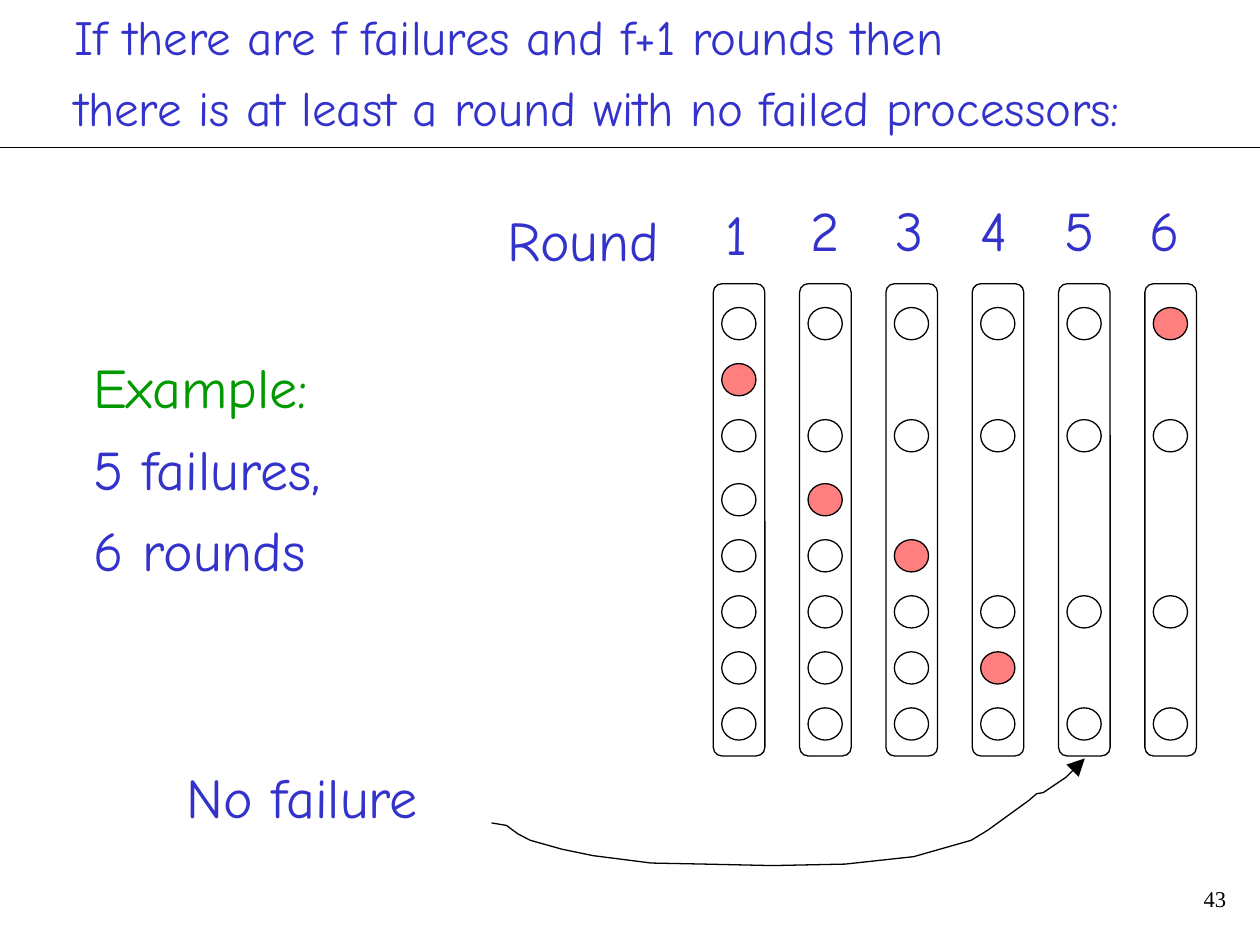
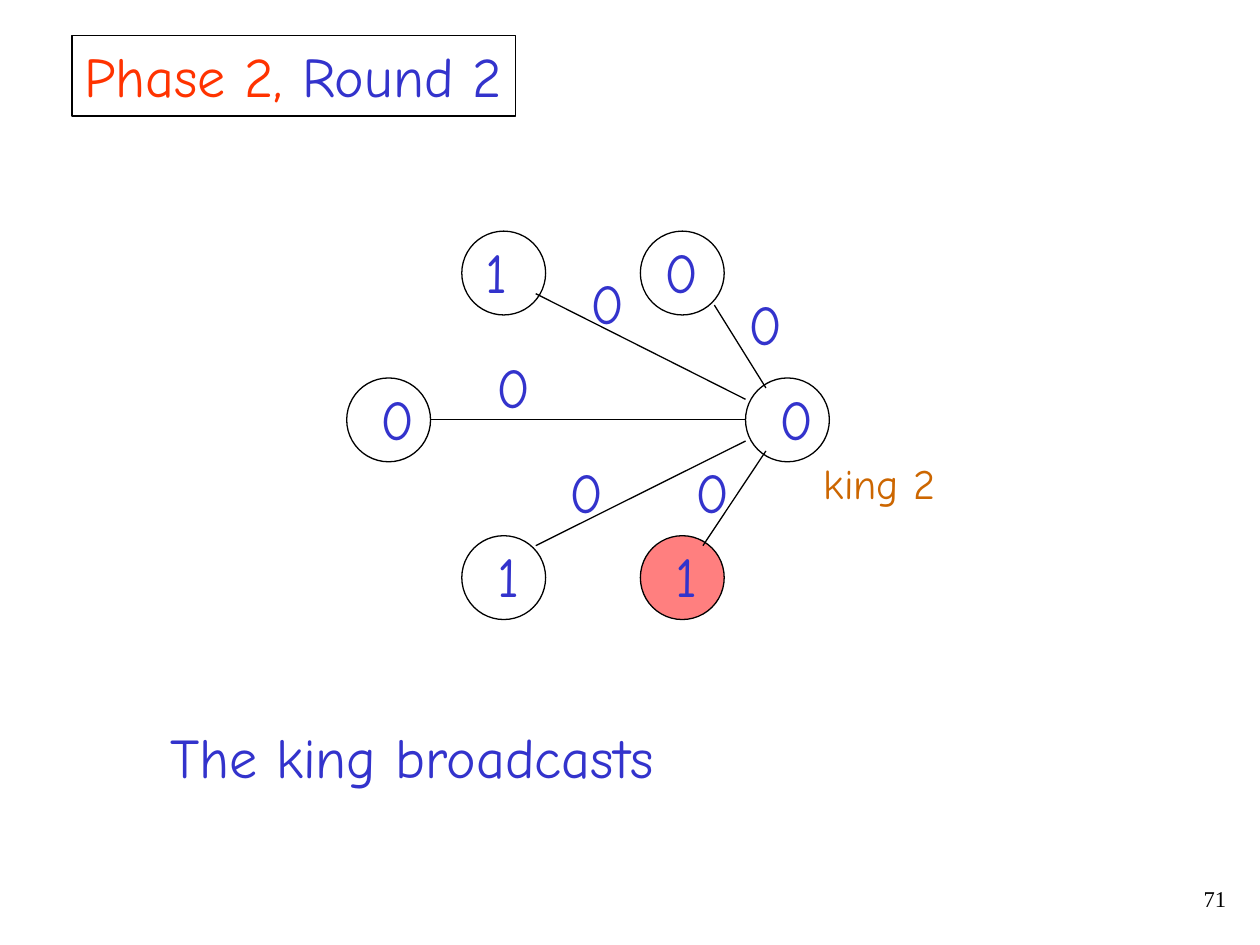
"""Build two slides on rounds, failures and the king's broadcast."""
from dataclasses import dataclass

from lxml.etree import SubElement
from pptx import Presentation
from pptx.dml.color import RGBColor
from pptx.enum.shapes import MSO_CONNECTOR, MSO_SHAPE
from pptx.enum.text import MSO_ANCHOR, MSO_AUTO_SIZE, PP_ALIGN
from pptx.oxml.ns import qn
from pptx.util import Cm, Pt


@dataclass(frozen=True)
class Theme:
    blue: str = "3333CC"
    green: str = "009900"
    orange: str = "FF3300"
    brown: str = "CC6600"
    red: str = "FF0000"
    black: str = "000000"
    face: str = "Comic Neue"
    serif: str = "Times New Roman"
    head: float = 28
    body: float = 32
    small: float = 24
    foot: float = 12.9
    line: float = 0.75


theme = Theme()


def ink(item, failed=False):
    """Give an item a thin black line, no shadow, and a pale red fill if failed."""
    item.line.color.rgb = RGBColor.from_string(theme.black)
    item.line.width = Pt(theme.line)
    props = item._element.spPr
    SubElement(props, qn("a:effectLst"))
    if failed:
        item.fill.solid()
        item.fill.fore_color.rgb = RGBColor.from_string(theme.red)
        tint = props.find(qn("a:solidFill"))[0]
        SubElement(tint, qn("a:alpha"), val="50000")
    elif hasattr(item, "fill"):
        item.fill.background()


def write(page, place, text, size=theme.body, color=theme.blue, title=None):
    """Put left-aligned text at a place, in the title if given, else in a new box."""
    left, top, width, height = map(Cm, place)
    box = title or page.shapes.add_textbox(left, top, width, height)
    box.left, box.top, box.width, box.height = left, top, width, height
    frame = box.text_frame
    frame.text = text
    frame.word_wrap = False
    frame.auto_size = MSO_AUTO_SIZE.NONE if title else MSO_AUTO_SIZE.SHAPE_TO_FIT_TEXT
    frame.vertical_anchor = MSO_ANCHOR.TOP
    for row, para in enumerate(frame.paragraphs):
        para.alignment = PP_ALIGN.LEFT
        para.space_before = Pt(size / 4 if row else 0)
        para.font.name = theme.face
        para.font.size = Pt(size)
        para.font.color.rgb = RGBColor.from_string(color)
    return frame


deck = Presentation()
deck.slide_width, deck.slide_height = Cm(25.4), Cm(19.05)
rounds, king = [deck.slides.add_slide(deck.slide_layouts[5]) for _ in range(2)]

for page, number in ((rounds, "43"), (king, "71")):
    frame = write(page, (19.69, 17.78, 5.28, 0.84), number, theme.foot, theme.black)
    frame.word_wrap = True
    frame.auto_size = MSO_AUTO_SIZE.NONE
    para = frame.paragraphs[0]
    para.alignment = PP_ALIGN.RIGHT
    para.line_spacing = 0.9
    para.font.name = theme.serif

claim = "If there are f failures and f+1 rounds then\nthere is at least a round with no failed processors:"
write(rounds, (1.24, 0, 21.64, 2.87), claim, theme.head, title=rounds.shapes.title)
ink(rounds.shapes.add_connector(MSO_CONNECTOR.STRAIGHT, 0, Cm(2.97), Cm(25.4), Cm(2.97)))

write(rounds, (9.98, 4.01, 3.58, 1.63), "Round")
frame = write(rounds, (1.63, 6.99, 5.23, 4.9), "Example:\n5 failures,\n6 rounds")
frame.paragraphs[0].font.color.rgb = RGBColor.from_string(theme.green)
write(rounds, (3.51, 15.24, 5.21, 1.63), "No failure")

fails = [1, 3, 4, 6, None, 0]
for col, fail in enumerate(fails):
    left = 14.38 + 1.74 * col
    for row in range(8):
        if row not in fails[:col]:
            top = 6.2 + 1.13 * row + (0.16 if row > 2 else 0)
            dot = rounds.shapes.add_shape(
                MSO_SHAPE.OVAL, Cm(left + 0.17), Cm(top), Cm(0.69), Cm(0.65))
            ink(dot, row == fail)
    ink(rounds.shapes.add_shape(
        MSO_SHAPE.ROUNDED_RECTANGLE, Cm(left), Cm(5.72), Cm(1.04), Cm(9.52)))
    top, width = (3.81, 1.09) if col else (3.89, 0.94)
    write(rounds, (14.38 + 1.71 * col, top, width, 1.63), str(col + 1))

curve = [
    (9.91, 16.59), (10.21, 16.64), (10.44, 16.81), (10.69, 16.94), (11.33, 17.12),
    (11.96, 17.25), (13.13, 17.4), (14.2, 17.42), (15.57, 17.45), (17.04, 17.42),
    (18.42, 17.27), (19.58, 16.94), (19.91, 16.74), (20.75, 16.13), (20.9, 16),
    (21.03, 15.98), (21.49, 15.67), (21.87, 15.29),
]
start, *rest = [(Cm(x), Cm(y)) for x, y in curve]
pen = rounds.shapes.build_freeform(*start)
pen.add_line_segments(rest, close=False)
arrow = pen.convert_to_shape()
ink(arrow)
SubElement(arrow.line._get_or_add_ln(), qn("a:tailEnd"), type="triangle", w="lg", len="lg")

frame = write(king, (1.45, 0.71, 8.94, 1.63), "Phase 2,", title=king.shapes.title)
ink(king.shapes.title)
frame.paragraphs[0].runs[0].font.color.rgb = RGBColor.from_string(theme.orange)
frame.paragraphs[0].add_run().text = " Round 2"

wide = {"0": 1.19, "1": 0.94}
nodes = [
    (9.31, 4.66, "1", 0.23), (12.91, 4.66, "0", 0.23), (6.99, 7.62, "0", 0.43),
    (15.03, 7.62, "0", 0.43), (9.31, 10.8, "1", 0.46), (12.91, 10.8, "1", 0.46),
]
for node in nodes:
    left, top, bit, shift = node
    ring = king.shapes.add_shape(MSO_SHAPE.OVAL, Cm(left), Cm(top), Cm(1.69), Cm(1.69))
    ink(ring, node == nodes[-1])
    write(king, (left + shift, top, wide[bit], 1.63), bit)

sends = [
    ((15.44, 7.82, 14.4, 6.15), (14.83, 5.72)),
    ((15.03, 8.05, 10.8, 5.92), (11.66, 5.28)),
    ((15.03, 8.46, 8.69, 8.46), (9.75, 6.99)),
    ((15.03, 8.89, 10.8, 11), (11.23, 9.09)),
    ((15.44, 9.09, 14.17, 11), (13.77, 9.09)),
]
for ends, spot in sends:
    ink(king.shapes.add_connector(MSO_CONNECTOR.STRAIGHT, *map(Cm, ends)))
    write(king, (*spot, wide["0"], 1.63), "0")

write(king, (16.36, 9.09, 2.9, 1.27), "king 2", theme.small, theme.brown)
write(king, (3.18, 14.45, 10.26, 1.63), "The king broadcasts")

deck.save("out.pptx")
